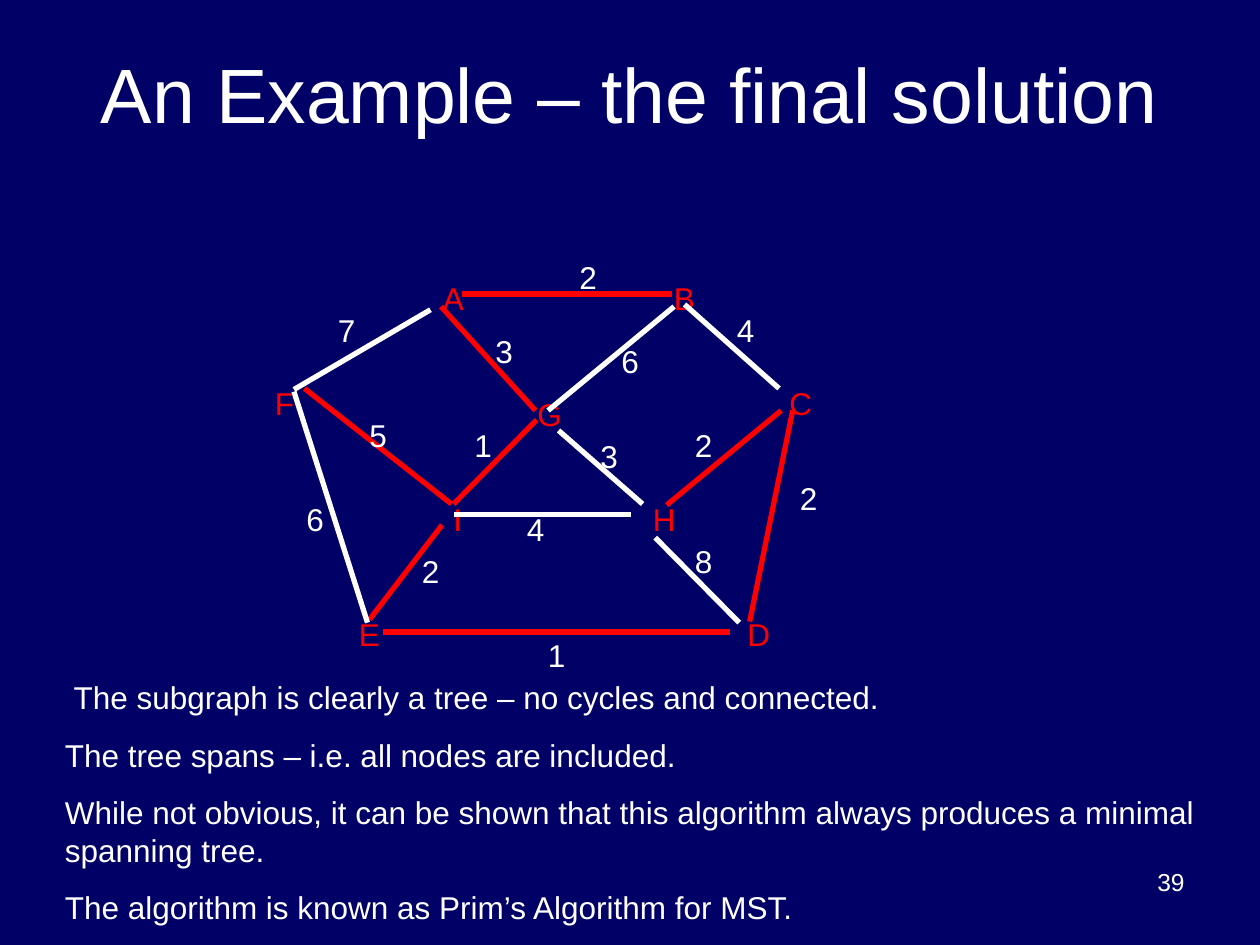
from lxml.etree import SubElement
from pptx import Presentation
from pptx.dml.color import RGBColor
from pptx.enum.shapes import MSO_CONNECTOR as Connector
from pptx.enum.text import MSO_ANCHOR as Anchor, PP_ALIGN as Align
from pptx.oxml.ns import qn
from pptx.util import Inches, Pt

NAVY, WHITE, RED = "000066", "FFFFFF", "FF0000"
CELLS_PER_INCH = 12
LABEL_SIZE = (5, 4.8)
PARAGRAPH_GAP = 11.2

NODES = {
    "D": (70, 58), "E": (33, 58), "H": (61, 47), "I": (42, 47), "F": (25, 36),
    "C": (74, 36), "G": (50, 37), "B": (63, 26), "A": (41, 26),
}
EDGES = [
    (RED, (44, 28), (64, 28)),
    (RED, (29, 37), (43, 48)),
    (WHITE, (28, 37.1), (41, 29.5)),
    (RED, (42, 29.2), (51, 39.1)),
    (WHITE, (64.2, 29.2), (52.2, 39.1)),
    (RED, (51.1, 40), (43.2, 48)),
    (WHITE, (53.2, 41), (61.2, 48)),
    (WHITE, (65.2, 29), (74.2, 37)),
    (RED, (74.4, 39.1), (63.5, 48.1)),
    (RED, (75.5, 39.1), (71.4, 59.2)),
    (WHITE, (62.4, 51.2), (70.4, 59.3)),
    (WHITE, (43.2, 49), (60.1, 49)),
    (RED, (42.1, 50), (35.2, 59)),
    (WHITE, (28, 37.3), (35, 59.3)),
    (RED, (36.5, 60.2), (69.5, 60.2)),
]
WEIGHTS = [
    ("8", (65, 51)), ("6", (28, 47)), ("5", (34, 39)), ("3", (56, 41)),
    ("3", (46, 31)), ("2", (39, 52)), ("2", (75, 45)), ("2", (54, 24)),
    ("1", (44, 40)), ("6", (58, 32)), ("1", (51, 60)), ("4", (49, 48)),
    ("2", (65, 40)), ("4", (69, 29)), ("7", (31, 29)),
]
CONCLUSIONS = [
    "The subgraph is clearly a tree – no cycles and connected.",
    "The tree spans – i.e. all nodes are included.",
    "While not obvious, it can be shown that this algorithm always produces"
    " a minimal spanning tree.",
    "The algorithm is known as Prim’s Algorithm for MST.",
]


def colour(code):
    """Turn a hex string into a colour."""
    return RGBColor.from_string(code)


def cells(*counts):
    """Turn counts of grid cells into lengths."""
    return [Inches(count / CELLS_PER_INCH) for count in counts]


def add_text(slide, lines, corner, extent, size=18, ink=WHITE,
             align=Align.LEFT, anchor=Anchor.TOP):
    """Place paragraphs in a wrapped box on the grid and return its frame."""
    frame = slide.shapes.add_textbox(*cells(*corner, *extent)).text_frame
    for name, value in {"word_wrap": True, "vertical_anchor": anchor}.items():
        setattr(frame, name, value)
    frame.text = "\n".join(lines)
    for order, paragraph in enumerate(frame.paragraphs):
        paragraph.alignment = align
        if order:
            paragraph.space_before = Pt(PARAGRAPH_GAP)
        for name, value in {"name": "Arial", "size": Pt(size)}.items():
            setattr(paragraph.font, name, value)
        paragraph.font.color.rgb = colour(ink)
    return frame


def add_edge(slide, ink, start, end):
    """Draw a graph edge between two grid points."""
    edge = slide.shapes.add_connector(Connector.STRAIGHT, *cells(*start, *end))
    edge.line.color.rgb = colour(ink)
    edge.line.width = Pt(3)
    SubElement(edge._element.spPr, qn("a:effectLst"))


def add_graph(slide):
    """Draw the nodes, then the edges, then their weights."""
    for node, corner in NODES.items():
        add_text(slide, [node], corner, LABEL_SIZE, ink=RED)
    for ink, start, end in EDGES:
        add_edge(slide, ink, start, end)
    for weight, corner in WEIGHTS:
        add_text(slide, [weight], corner, LABEL_SIZE)


def add_conclusions(slide):
    """Write the closing remarks with a slight indent on the first."""
    remarks = add_text(slide, CONCLUSIONS, (5, 64), (113, 24.8))
    first = remarks.paragraphs[0]._p.get_or_add_pPr()
    first.set("indent", str(Inches(0.07)))


def main():
    """Build and save the slide."""
    deck = Presentation()
    deck.slide_width, deck.slide_height = Inches(10), Inches(7.5)
    slide = deck.slides.add_slide(deck.slide_layouts[6])
    slide.background.fill.solid()
    slide.background.fill.fore_color.rgb = colour(NAVY)
    add_text(slide, ["An Example – the final solution"], (6, 3.6), (108, 10.4),
             size=44, align=Align.CENTER, anchor=Anchor.MIDDLE)
    add_graph(slide)
    add_conclusions(slide)
    add_text(slide, ["39"], (86, 82), (28, 6.2), size=14, align=Align.RIGHT)
    deck.save("out.pptx")


if __name__ == "__main__":
    main()
